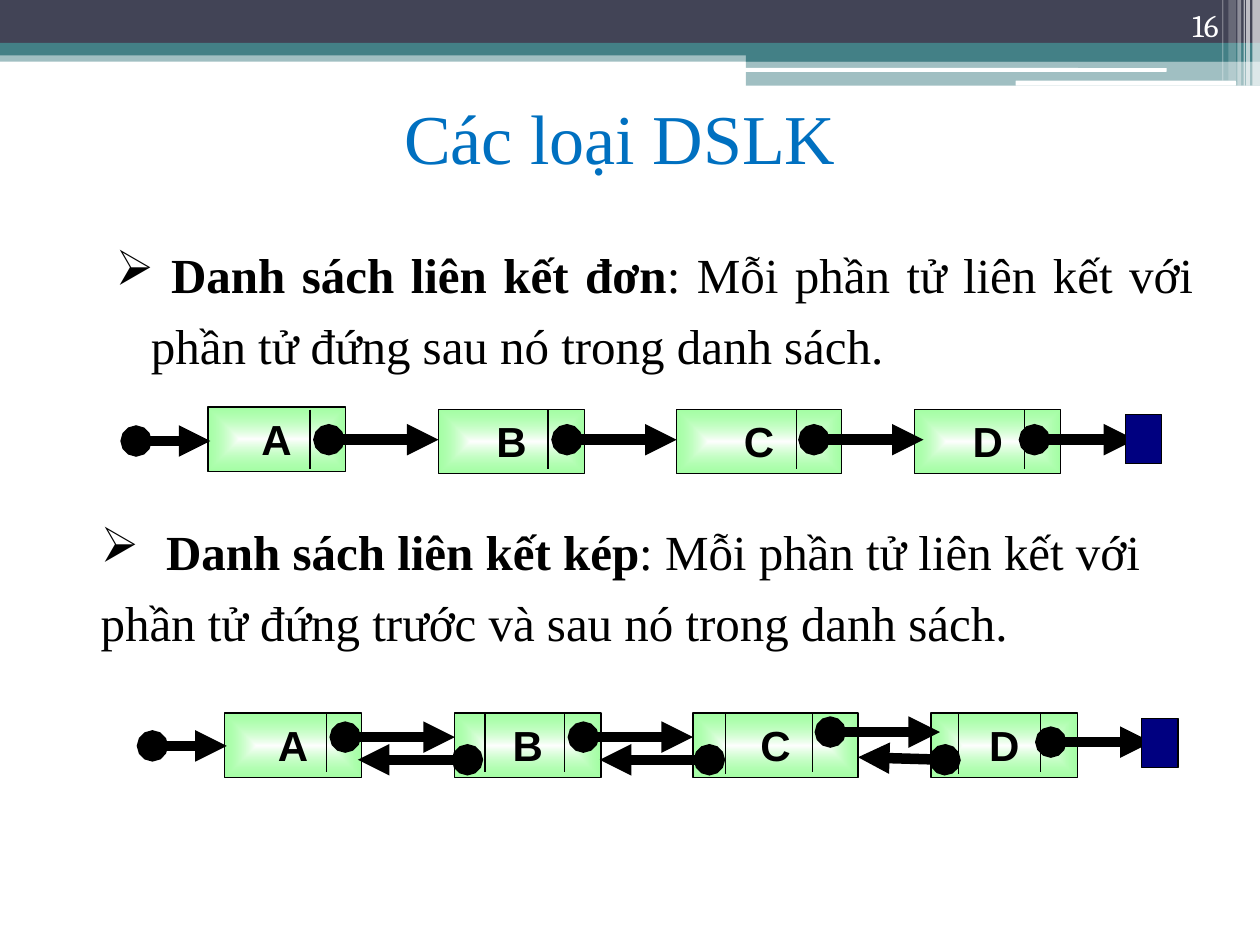
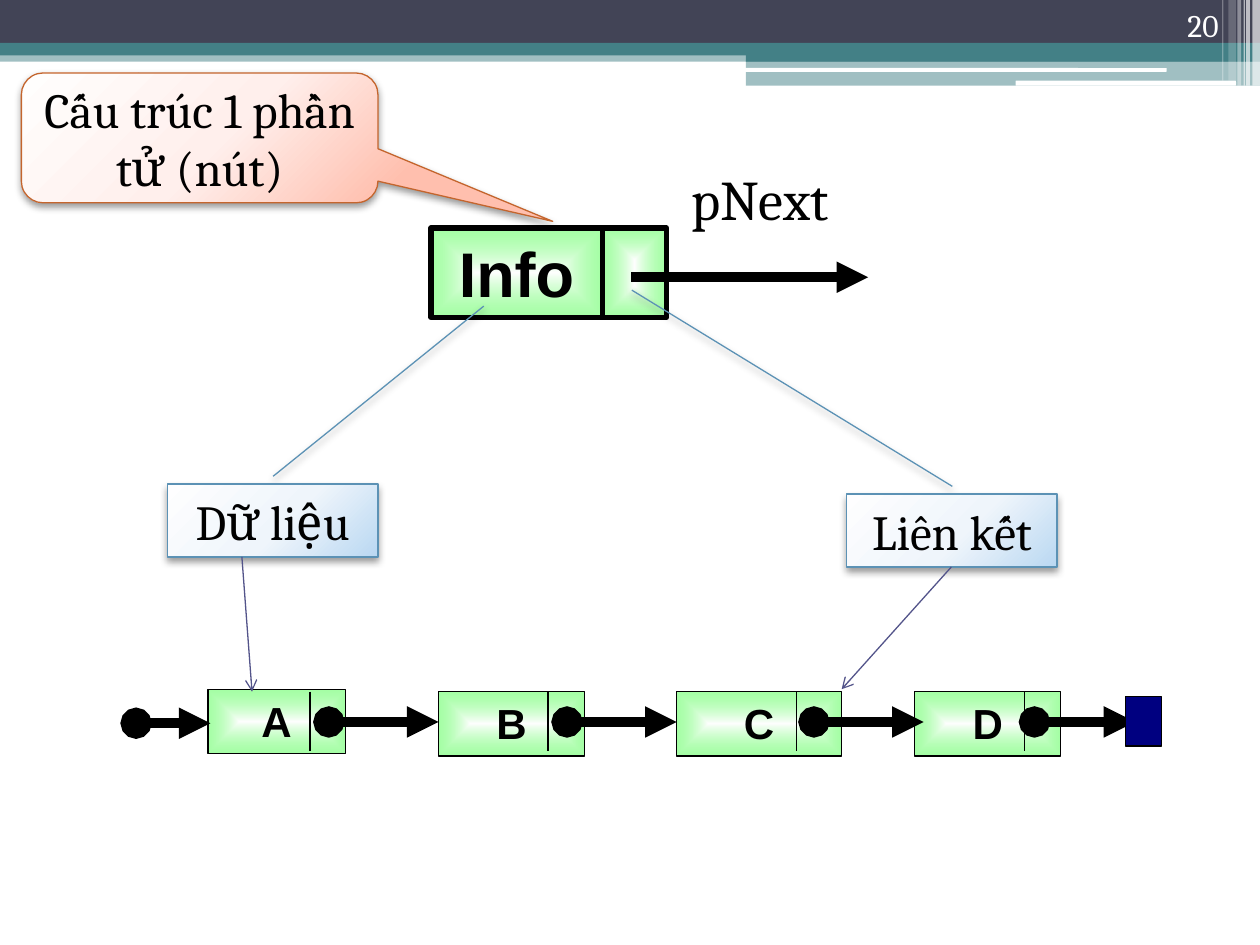
from pptx import Presentation
from pptx.dml.color import RGBColor
from pptx.enum.shapes import MSO_CONNECTOR, MSO_SHAPE
from pptx.enum.text import MSO_ANCHOR, PP_ALIGN
from pptx.oxml import parse_xml
from pptx.oxml.ns import nsdecls, qn
from pptx.util import Inches, Pt

# Shared look
COLORS = {
    "black": "000000", "white": "FFFFFF", "navy": "000080", "title": "0070C0",
    "slate": "424456", "teal": "438086", "green": "69FF69",
    "blue_line": "5C92B5", "orange_line": "C4652D", "purple": "53548A",
}
SERIF, SANS, ROMAN = "Cambria", "Arial", "Times New Roman"

# Gradients: path, focus (left, top, right, bottom in %), stops (position, color, opacity)
GLOW_FOCUS = (-40, -90, 140, 190)
GRADIENTS = {
    "node": ("shape", (50, 50, 50, 50),
             [(0, COLORS["white"], 100), (100, COLORS["green"], 60)]),
    "blue": ("circle", GLOW_FOCUS,
             [(0, "FEFEFF", 100), (55, "EFF5FB", 100), (100, "BAD8F2", 100)]),
    "orange": ("circle", GLOW_FOCUS,
               [(0, "FFFEFD", 100), (55, "FFEFEC", 100), (100, "FFBFAE", 100)]),
}

# Header: left, top, width, height, color, opacity
BANDS = [
    (0, 0.4, 10, 0.09, "teal", 50),
    (0, 0, 10, 0.34, "slate", 100),
    (0, 0.34, 10, 0.1, "teal", 100),
    (5.92, 0.39, 4.08, 0.1, "teal", 100),
    (5.92, 0.48, 4.08, 0.2, "teal", 50),
]
WHITE_BARS = [(5.91, 0.54, 3.35, 0.03), (8.06, 0.64, 1.75, 0.04)]
# Vertical stripes: left, width, height, opacity
STRIPES = [
    (9.94, 0.06, 0.68, 65), (9.89, 0.03, 0.68, 65), (9.87, 0.01, 0.68, 60),
    (9.82, 0.03, 0.68, 40), (9.75, 0.06, 0.64, 20), (9.7, 0.01, 0.64, 30),
]

# List types slide: box, leading bold text, remaining text, paragraph format
TITLE = "Các loại DSLK"
DEFINITIONS = [
    {"box": (0.7, 1.8, 8.87, 1.16), "term": " Danh sách liên kết đơn",
     "meaning": ": Mỗi phần tử liên kết với phần tử đứng sau nó trong danh sách.",
     "align": PP_ALIGN.JUSTIFY, "margin": 0.4, "indent": -0.28, "tab": None},
    {"box": (0.7, 4, 8.72, 1.23), "term": "\tDanh sách liên kết kép",
     "meaning": ": Mỗi phần tử liên kết với phần tử đứng trước và sau nó trong danh sách.",
     "align": PP_ALIGN.LEFT, "margin": 0, "indent": 0, "tab": 0.52},
]

# Linked list: node name, left, width, divider
NODES = [("A", 1.65, 1.09, 2.46), ("B", 3.48, 1.16, 4.35),
         ("C", 5.37, 1.31, 6.32), ("D", 7.26, 1.16, 8.13)]
NEXT_POINTERS = [(1.08, 1.67), (2.61, 3.48), (4.5, 5.37), (6.46, 7.33), (8.21, 9.01)]
NODE_HEIGHT, DIVIDER_HEIGHT = 0.51, 0.47

# Vertical offsets within each kind of list
SINGLE = {"shift": 0, "nodes": [-0.02, 0, 0, 0],
          "pointers": [0.25, 0.24, 0.24, 0.24, 0.24]}
DOUBLE = {"shift": 0.13, "nodes": [0, 0, 0, 0],
          "pointers": [0.26, 0.19, 0.19, 0.15, 0.23]}
PREVIOUS_DIVIDERS = [(3.85, 5.66), (5.76, 5.67), (7.61, 5.67)]
PREVIOUS_POINTERS = [(2.84, 6.03, 3.71, 6.03), (4.76, 6.03, 5.63, 6.03),
                     (6.81, 6.01, 7.5, 6.03)]

# Node structure slide: box, shape, adjustments, text, gradient, line color
LABELS = [
    ((1.33, 3.84, 1.67, 0.58), MSO_SHAPE.LINE_CALLOUT_1,
     (-0.104, 0.502, -2.433, 1.503), "Dữ liệu", "blue", "blue_line"),
    ((6.72, 3.92, 1.67, 0.58), MSO_SHAPE.LINE_CALLOUT_1,
     (-0.104, 0.502, -2.789, -1.021), "Liên kết", "blue", "blue_line"),
    ((0.17, 0.58, 2.83, 1.03), MSO_SHAPE.ROUNDED_RECTANGULAR_CALLOUT,
     (0.99, 0.643, 0.167), "Cấu trúc 1 phần tử (nút)", "orange", "orange_line"),
]
LABEL_ARROWS = [(1.92, 4.42, 2, 5.49), (7.55, 4.5, 6.68, 5.47)]


def rgb(name):
    return RGBColor.from_string(COLORS[name])


def drawing_xml(body):
    """Parse one element, giving it the DrawingML namespace."""
    tag, rest = body[:body.index(" ")], body[body.index(" "):]
    return parse_xml(f"{tag} {nsdecls('a')}{rest}")


def apply_format(target, values):
    for name, value in values.items():
        setattr(target, name, value)


def add_run(paragraph, text, size, font, color="black", bold=False):
    run = paragraph.add_run()
    run.text = text
    apply_format(run.font, {"size": Pt(size), "name": font, "bold": bold})
    run.font.color.rgb = rgb(color)


def prepare_text(shape, anchor, align):
    apply_format(shape.text_frame, {"word_wrap": True, "vertical_anchor": anchor})
    paragraph = shape.text_frame.paragraphs[0]
    paragraph.alignment = align
    return paragraph


def add_text(slide, box, text, size, font, color="black",
             anchor=MSO_ANCHOR.TOP, align=PP_ALIGN.CENTER):
    shape = slide.shapes.add_textbox(*map(Inches, box))
    add_run(prepare_text(shape, anchor, align), text, size, font, color)


def add_block(slide, box, color=None, opacity=100, gradient=None,
              line=None, width=0.75, kind=MSO_SHAPE.RECTANGLE):
    shape = slide.shapes.add_shape(kind, *map(Inches, box))
    shape.shadow.inherit = False
    if gradient:
        set_gradient(shape, gradient)
    else:
        shape.fill.solid()
        shape.fill.fore_color.rgb = rgb(color)
        if opacity < 100:
            fill_color = shape.element.spPr.find(".//" + qn("a:srgbClr"))
            fill_color.append(drawing_xml(f'<a:alpha val="{opacity * 1000}"/>'))
    if line:
        shape.line.color.rgb = rgb(line)
        shape.line.width = Pt(width)
    else:
        shape.line.fill.background()
    return shape


def set_gradient(shape, name):
    kind, focus, stops = GRADIENTS[name]
    stop_xml = "".join(
        f'<a:gs pos="{position * 1000}"><a:srgbClr val="{color}">'
        f'<a:alpha val="{opacity * 1000}"/></a:srgbClr></a:gs>'
        for position, color, opacity in stops)
    sides = " ".join(f'{side}="{value * 1000}"' for side, value in zip("ltrb", focus))
    shape.fill.gradient()
    properties = shape.element.spPr
    properties.replace(properties.find(qn("a:gradFill")), drawing_xml(
        f'<a:gradFill rotWithShape="1"><a:gsLst>{stop_xml}</a:gsLst>'
        f'<a:path path="{kind}"><a:fillToRect {sides}/></a:path></a:gradFill>'))


def add_line(slide, points, width=0.75, color="black", head=None, tail=None):
    connector = slide.shapes.add_connector(MSO_CONNECTOR.STRAIGHT, *map(Inches, points))
    connector.line.color.rgb = rgb(color)
    connector.line.width = Pt(width)
    properties = connector.element.spPr
    for tag, kind in (("headEnd", head), ("tailEnd", tail)):
        if kind:
            properties.find(qn("a:ln")).append(drawing_xml(f'<a:{tag} type="{kind}"/>'))
    properties.append(drawing_xml("<a:effectLst />"))


def add_node(slide, box, text, size, width=0.75):
    shape = add_block(slide, box, gradient="node", line="black", width=width)
    if text:
        paragraph = prepare_text(shape, MSO_ANCHOR.TOP, PP_ALIGN.CENTER)
        add_run(paragraph, text, size, SANS, bold=True)


def add_chain(slide, top, layout):
    """Draw nodes, dividers, next pointers and the closing block."""
    shift = layout["shift"]
    for (name, left, width, _), offset in zip(NODES, layout["nodes"]):
        add_node(slide, (left + shift, top + offset, width, NODE_HEIGHT), name, 24)
    for *_, divider in NODES:
        x = divider + shift
        add_line(slide, (x, top, x, top + DIVIDER_HEIGHT))
    for (start, end), offset in zip(NEXT_POINTERS, layout["pointers"]):
        y = top + offset
        add_line(slide, (start + shift, y, end + shift, y), 6, head="oval", tail="triangle")
    add_block(slide, (8.93 + shift, top + 0.04, 0.29, 0.39), "navy", line="black")


def add_definition(slide, definition):
    shape = slide.shapes.add_textbox(*map(Inches, definition["box"]))
    paragraph = prepare_text(shape, MSO_ANCHOR.TOP, definition["align"])
    properties = paragraph._p.get_or_add_pPr()
    properties.set("marL", str(Inches(definition["margin"])))
    properties.set("indent", str(Inches(definition["indent"])))
    properties.append(drawing_xml(
        f'<a:buClr ><a:srgbClr val="{COLORS["black"]}"/></a:buClr>'))
    properties.append(drawing_xml('<a:buChar char="➢"/>'))
    if definition["tab"]:
        properties.append(drawing_xml(
            f'<a:tabLst ><a:tab pos="{Inches(definition["tab"])}" algn="l"/></a:tabLst>'))
    paragraph.line_spacing = 1.2
    add_run(paragraph, definition["term"], 28, ROMAN, bold=True)
    add_run(paragraph, definition["meaning"], 28, ROMAN)


def add_label(slide, box, kind, adjustments, text, gradient, line):
    shape = add_block(slide, box, gradient=gradient, line=line, kind=kind)
    for index, value in enumerate(adjustments):
        shape.adjustments[index] = value
    shape.element.spPr.find(qn("a:effectLst")).append(drawing_xml(
        f'<a:outerShdw blurRad="{Pt(4.1)}" dist="{Pt(2)}" dir="5400000" rotWithShape="0">'
        f'<a:srgbClr val="{COLORS["black"]}"><a:alpha val="40000"/></a:srgbClr>'
        '</a:outerShdw>'))
    paragraph = prepare_text(shape, MSO_ANCHOR.MIDDLE, PP_ALIGN.CENTER)
    add_run(paragraph, text, 28, SERIF)


def add_slide(presentation, number):
    """Start a slide with the shared header and its number."""
    slide = presentation.slides.add_slide(presentation.slide_layouts[6])
    for *box, color, opacity in BANDS:
        add_block(slide, box, color, opacity)
    for box in WHITE_BARS:
        add_block(slide, box, "white", kind=MSO_SHAPE.ROUNDED_RECTANGLE)
    for left, width, height, opacity in STRIPES:
        add_block(slide, (left, 0, width, height), "white", opacity)
    add_text(slide, (8.94, 0, 0.83, 0.4), number, 18, SERIF, "white",
             MSO_ANCHOR.BOTTOM, PP_ALIGN.RIGHT)
    return slide


def build_list_types(presentation):
    slide = add_slide(presentation, "16")
    add_text(slide, (0.42, 0.5, 9, 1.17), TITLE, 40, ROMAN, "title", MSO_ANCHOR.MIDDLE)
    for definition in DEFINITIONS:
        add_definition(slide, definition)
    add_chain(slide, 3.25, SINGLE)
    add_chain(slide, 5.66, DOUBLE)
    # Links back to the previous node
    for x, top in PREVIOUS_DIVIDERS:
        add_line(slide, (x, top, x, top + DIVIDER_HEIGHT))
    for points in PREVIOUS_POINTERS:
        add_line(slide, points, 6, head="triangle", tail="oval")


def build_node_structure(presentation):
    slide = add_slide(presentation, "20")
    # Enlarged node
    add_node(slide, (4.78, 1.81, 0.51, 0.71), "", 36, 3)
    add_node(slide, (3.42, 1.81, 1.36, 0.71), "Info", 36, 3)
    add_line(slide, (5.01, 2.2, 6.89, 2.2), 6, tail="triangle")
    add_text(slide, (5.35, 1.26, 1.36, 0.63), "pNext", 32, SERIF)
    # Labels and the list they point to
    for label in LABELS:
        add_label(slide, *label)
    add_chain(slide, 5.49, SINGLE)
    for points in LABEL_ARROWS:
        add_line(slide, points, color="purple", tail="arrow")


def main():
    presentation = Presentation()
    apply_format(presentation, {"slide_width": Inches(10), "slide_height": Inches(7.5)})
    build_list_types(presentation)
    build_node_structure(presentation)
    presentation.save("out.pptx")


if __name__ == "__main__":
    main()
